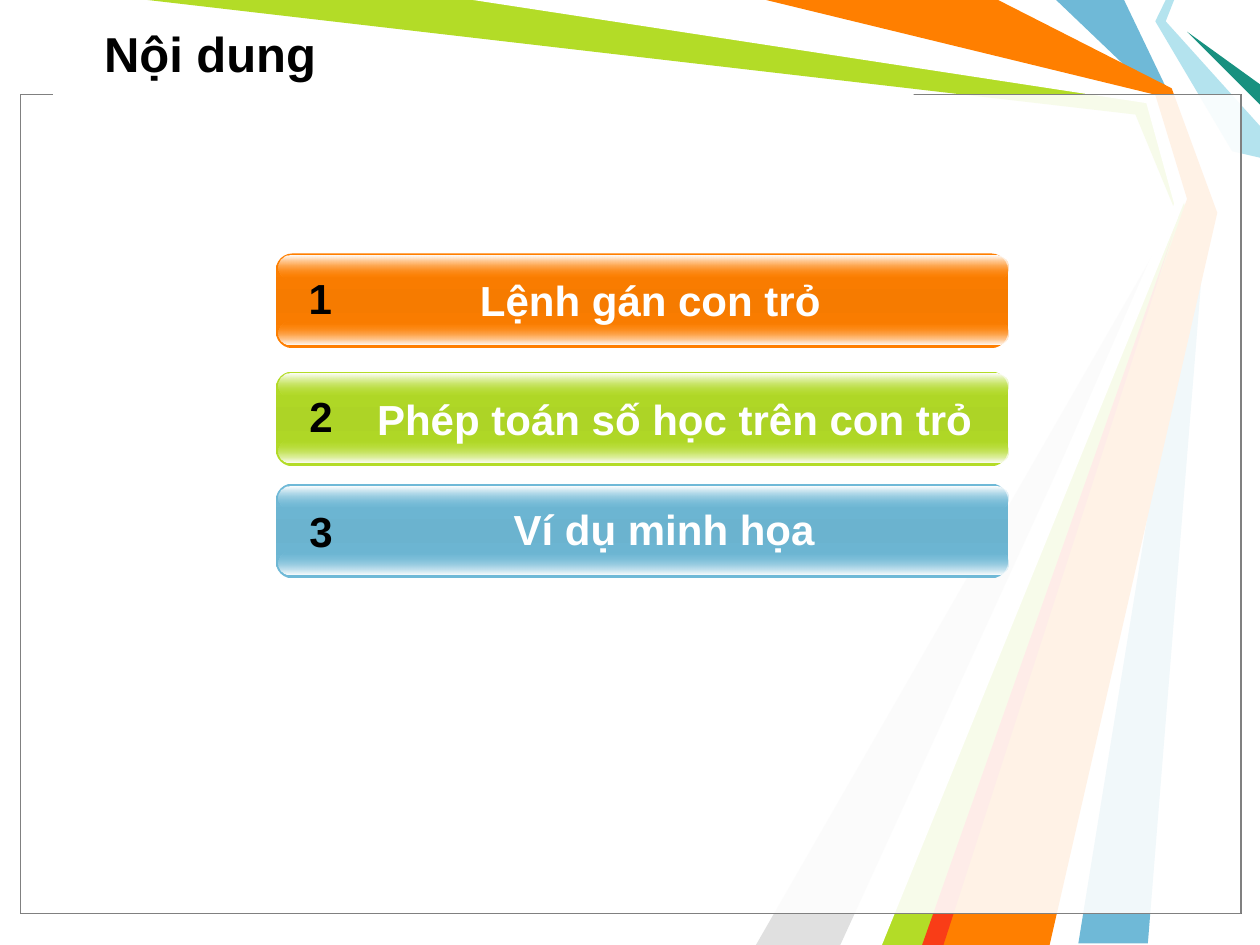
import pptx
import pptx.dml.color
import pptx.enum.shapes
import pptx.enum.text
import pptx.oxml.ns
import pptx.oxml.xmlchemy
import pptx.util
from pptx.util import Cm

COLORS = {
    "white": "FFFFFF", "black": "000000", "frame": "808080",
    "orange": "FF7F00", "orange_mid": "F67B00",
    "green": "B3DC27", "green_mid": "ADD426",
    "blue": "6FB9D7", "blue_mid": "6BB3CF",
    "gray": "E0E0E0", "cyan": "B4E3EE", "teal": "189180", "red": "F93D17",
}

# Background ribbons from back to front, corners in centimetres
RIBBONS = [
    ("blue", [(22.66, 0), (23.6, 1.96), (24.33, 4.24), (23.14, 19.02),
              (21.74, 19.02), (24.13, 4.24), (23.29, 1.91), (21.29, 0)]),
    ("green", [(2.97, 0), (9.73, 0), (23.22, 1.98), (23.93, 4.29),
               (18.85, 19.05), (17.58, 19.05), (23.75, 4.39), (22.89, 2.31)]),
    ("gray", [(16.94, 19.05), (23.55, 4.6), (15.24, 19.05)]),
    ("white", [(9.53, 0), (23.11, 2.08), (23.67, 4.11), (17.15, 19.05),
               (17.78, 19.05), (23.9, 4.01), (23.29, 1.91), (15.24, 0)]),
    ("cyan", [(23.5, 0), (23.29, 0.43), (24.84, 3.05), (25.4, 3.18),
              (25.4, 2.54), (23.5, 0.43), (23.67, 0)]),
    ("teal", [(25.4, 2.11), (23.93, 0.64), (25.4, 1.7)]),
    ("orange", [(15.44, 0), (20.12, 0), (23.62, 1.78), (24.54, 4.29),
                (21.16, 19.05), (18.62, 19.05), (23.93, 4.01), (23.29, 1.91)]),
    ("red", [(18.59, 19.05), (23.67, 4.65), (19.02, 19.05)]),
]

# Colour, bar top, label, label box (left, top, width), number position
TOPICS = [
    ("orange", 5.11, "Lệnh gán con trỏ", (6.86, 5.41, 12.5), (5.92, 5.36)),
    ("green", 7.49, "Phép toán số học trên con trỏ", (6.88, 7.8, 13.44), (5.94, 7.75)),
    ("blue", 9.75, "Ví dụ minh họa", (7.14, 10.03, 12.5), (5.94, 10.06)),
]


def rgb(color):
    return pptx.dml.color.RGBColor.from_string(COLORS[color])


def new_element(tag, **attributes):
    element = pptx.oxml.xmlchemy.OxmlElement(tag)
    for name, value in attributes.items():
        element.set(name, str(value))
    return element


class SlideBuilder:
    font_format = {"name": "Arial", "bold": True}
    text_height = 1.27
    hanging = 1.27

    def __init__(self, slide):
        self.slide = slide

    def set_opacity(self, color_element, percent):
        color_element.append(new_element("a:alpha", val=percent * 1000))

    def ribbon(self, color, points):
        corners = [(Cm(x), Cm(y)) for x, y in points]
        builder = self.slide.shapes.build_freeform(*corners[0])
        builder.add_line_segments(corners[1:], close=True)
        self.paint(builder.convert_to_shape(), color)

    def paint(self, shape, color):
        shape.shadow.inherit = False
        shape.fill.solid()
        shape.fill.fore_color.rgb = rgb(color)
        shape.line.fill.background()

    def preset(self, kind, box):
        shape_type = getattr(pptx.enum.shapes.MSO_SHAPE, kind)
        return self.slide.shapes.add_shape(shape_type, *map(Cm, box))

    def rectangle(self, box, color, opacity=100, line=None):
        shape = self.preset("RECTANGLE", box)
        self.paint(shape, color)
        if opacity < 100:
            fill_color = next(shape._element.spPr.iter(pptx.oxml.ns.qn("a:srgbClr")))
            self.set_opacity(fill_color, opacity)
        if line:
            shape.line.color.rgb = rgb(line)
            shape.line.width = pptx.util.Pt(0.75)

    def gradient_bar(self, box, rounding, stops):
        """Rounded bar shaded downwards; stops are (percent, colour, opacity)."""
        shape = self.preset("ROUNDED_RECTANGLE", box)
        shape.adjustments[0] = rounding
        shape.shadow.inherit = False
        shape.line.fill.background()
        shape.fill.gradient()
        shape.fill.gradient_angle = 270
        stop_list = next(shape._element.spPr.iter(pptx.oxml.ns.qn("a:gsLst")))
        for old_stop in list(stop_list):
            stop_list.remove(old_stop)
        for position, color, opacity in stops:
            stop = new_element("a:gs", pos=position * 1000)
            stop_color = new_element("a:srgbClr", val=COLORS[color])
            if opacity < 100:
                self.set_opacity(stop_color, opacity)
            stop.append(stop_color)
            stop_list.append(stop)

    def glossy_button(self, color, top):
        self.gradient_bar((5.56, top, 14.76, 1.91), 0.175,
                          [(0, color, 100), (50, color + "_mid", 100), (100, color, 100)])
        self.gradient_bar((5.61, top + 1.37, 14.71, 0.46), 0.5,
                          [(0, color, 0), (100, "white", 100)])
        self.gradient_bar((5.61, top + 0.05, 14.71, 0.46), 0.5,
                          [(0, "white", 100), (100, color, 0)])

    def text(self, content, box, color, size=24, align="CENTER", hanging=False, **frame_format):
        frame = self.slide.shapes.add_textbox(*map(Cm, box)).text_frame
        for name, value in {"word_wrap": True, **frame_format}.items():
            setattr(frame, name, value)
        paragraph = frame.paragraphs[0]
        paragraph.text = content
        paragraph.alignment = getattr(pptx.enum.text.PP_ALIGN, align)
        if hanging:
            properties = paragraph._p.get_or_add_pPr()
            properties.set("marL", str(int(Cm(self.hanging))))
            properties.set("indent", str(-int(Cm(self.hanging))))
        font = paragraph.runs[0].font
        for name, value in {**self.font_format, "size": pptx.util.Pt(size)}.items():
            setattr(font, name, value)
        font.color.rgb = rgb(color)

    def topic(self, number, color, top, label, label_box, number_position):
        grow = pptx.enum.text.MSO_AUTO_SIZE.SHAPE_TO_FIT_TEXT
        self.glossy_button(color, top)
        self.text(label, (*label_box, self.text_height), "white", hanging=True, auto_size=grow)
        self.text(str(number), (*number_position, 1.07, self.text_height), "black", auto_size=grow)


def main():
    presentation = pptx.Presentation()
    presentation.slide_width = Cm(25.4)
    presentation.slide_height = Cm(19.05)
    builder = SlideBuilder(presentation.slides.add_slide(presentation.slide_layouts[6]))

    for color, points in RIBBONS:
        builder.ribbon(color, points)
    for line in ("black", "frame"):
        builder.rectangle((0.41, 1.91, 24.61, 16.51), "white", opacity=69, line=line)
    builder.rectangle((1.07, 1.88, 17.35, 0.43), "white")

    builder.text("Nội dung", (1.85, 0.2, 23.14, 1.75), "black", size=28, align="LEFT",
                 vertical_anchor=pptx.enum.text.MSO_ANCHOR.MIDDLE)
    for number, topic in enumerate(TOPICS, start=1):
        builder.topic(number, *topic)

    presentation.save("out.pptx")


if __name__ == "__main__":
    main()
